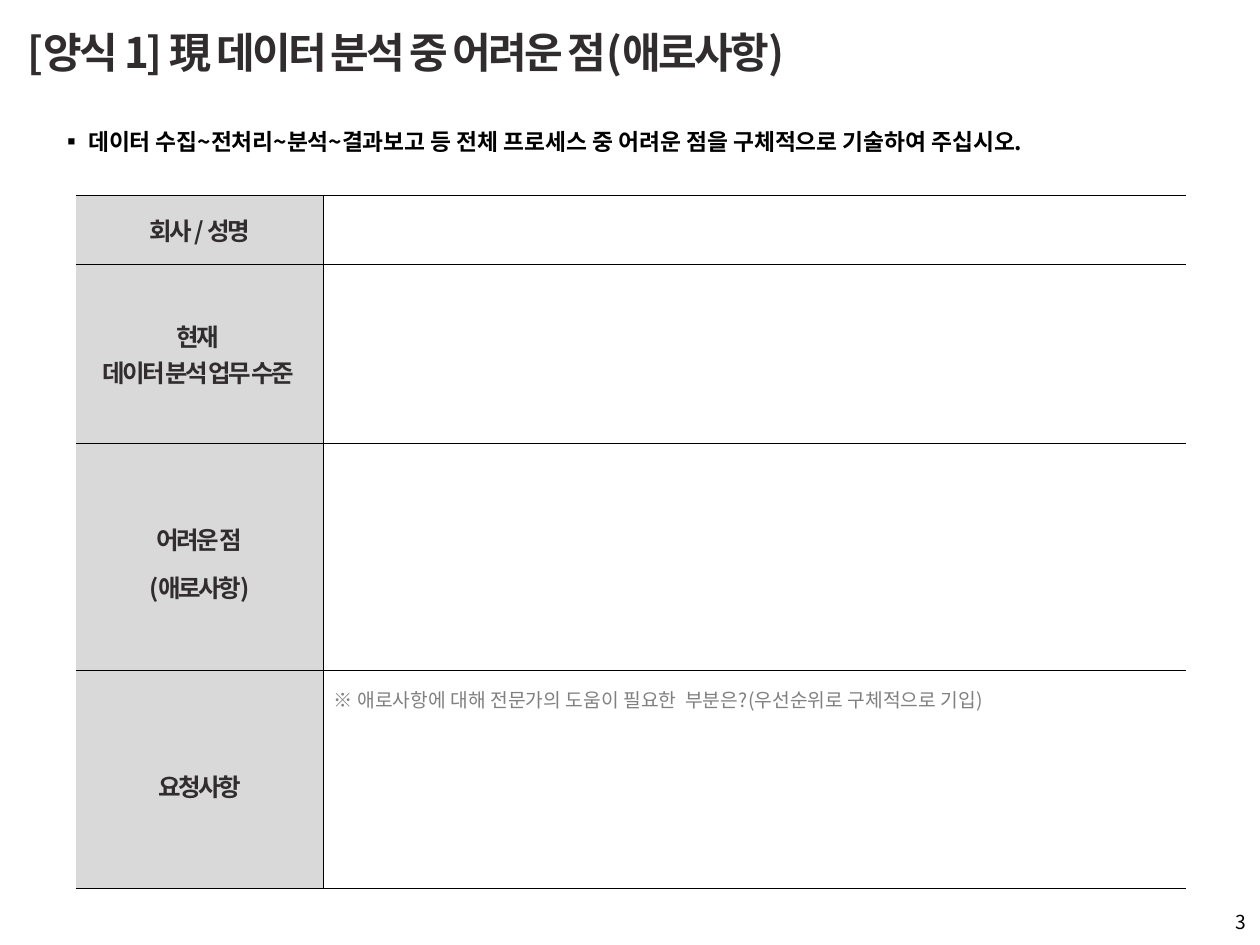
from dataclasses import dataclass

from lxml.etree import SubElement
from pptx import Presentation
from pptx.dml.color import RGBColor
from pptx.enum.text import MSO_ANCHOR as Anchor, PP_ALIGN as Align
from pptx.oxml import parse_xml
from pptx.oxml.ns import nsdecls, qn
from pptx.util import Pt

FONT = "Noto Sans CJK KR"
BLACK = RGBColor(0x00, 0x00, 0x00)
CHARCOAL = RGBColor(0x31, 0x2C, 0x2E)
GRAY = RGBColor(0x80, 0x80, 0x80)
LABEL_FILL = RGBColor(0xD9, 0xD9, 0xD9)
NO_STYLE = "{2D5ABB26-0587-4C30-8999-92F81FD0307C}"


@dataclass(frozen=True)
class TextStyle:
    size: float
    color: RGBColor
    bold: bool = False
    tracking: float = 0
    align: Align = Align.LEFT
    line_spacing: float = 1.0


@dataclass(frozen=True)
class Caption:
    text: str
    box: tuple[float, float, float, float]
    style: TextStyle
    anchor: Anchor = Anchor.MIDDLE
    insets: tuple[float, float, float, float] = (7.2, 3.6, 7.2, 3.6)


@dataclass(frozen=True)
class FormRow:
    label: str
    height: float
    line_spacing: float = 1.0
    hint: str = ""


CAPTIONS = [
    Caption("▪ 데이터 수집~전처리~분석~결과보고 등 전체 프로세스 중 어려운 점을 구체적으로 기술하여 주십시오.",
            (27.4, 69.8, 684, 26), TextStyle(13, BLACK, True, line_spacing=1.2),
            Anchor.TOP, (7.2, 0, 7.2, 0)),
    Caption("[양식 1] 現 데이터 분석 중 어려운 점(애로사항)",
            (8.6, 9.4, 548, 40.3), TextStyle(24, CHARCOAL, True, -1.5)),
    Caption("3", (683.3, 512.6, 36, 28.8), TextStyle(11, BLACK, align=Align.RIGHT)),
]
FORM_ROWS = [
    FormRow("회사 / 성명", 39.6),
    FormRow("현재 \n데이터 분석 업무 수준 ", 102.2),
    FormRow("어려운 점\v(애로사항)", 129.6, 1.35),
    FormRow("요청사항", 124.6, 1.35,
            "※ 애로사항에 대해 전문가의 도움이 필요한  부분은?(우선순위로 구체적으로 기입)"),
]
FORM_LEFT, FORM_TOP = 43.2, 111.6
COLUMN_WIDTHS = (141.8, 492.5)


def write(frame, text: str, style: TextStyle) -> None:
    frame.text = text
    font_values = {"size": Pt(style.size), "bold": style.bold, "name": FONT}
    for paragraph in frame.paragraphs:
        paragraph.alignment = style.align
        paragraph.line_spacing = style.line_spacing
        for run in paragraph.runs:
            for key, value in font_values.items():
                setattr(run.font, key, value)
            run.font.color.rgb = style.color
            properties = run.font._element
            properties.set("spc", str(round(style.tracking * 100)))
            SubElement(properties, qn("a:ea")).set("typeface", FONT)


def set_insets(holder, insets: tuple[float, float, float, float]) -> None:
    for side, inset in zip(("left", "top", "right", "bottom"), insets):
        setattr(holder, f"margin_{side}", Pt(inset))


def add_caption(slide, caption: Caption) -> None:
    frame = slide.shapes.add_textbox(*map(Pt, caption.box)).text_frame
    frame.word_wrap = True
    frame.vertical_anchor = caption.anchor
    set_insets(frame, caption.insets)
    write(frame, caption.text, caption.style)


def set_borders(cell, sides: str) -> None:
    """Rule the given sides, in L, R, T, B order, and leave the others open."""
    properties = cell._tc.get_or_add_tcPr()
    for index, side in enumerate("LRTB"):
        paint = (f'<a:solidFill><a:srgbClr val="{BLACK}"/></a:solidFill>'
                 if side in sides else "<a:noFill/>")
        properties.insert(index, parse_xml(
            f'<a:ln{side} {nsdecls("a")} w="{Pt(0.75)}">{paint}</a:ln{side}>'))


def add_form(slide, rows: list[FormRow]) -> None:
    form = slide.shapes.add_table(
        len(rows), len(COLUMN_WIDTHS), Pt(FORM_LEFT), Pt(FORM_TOP),
        Pt(sum(COLUMN_WIDTHS)), Pt(sum(row.height for row in rows))).table
    form.first_row = form.horz_banding = False
    form._tbl.tblPr.find(qn("a:tableStyleId")).text = NO_STYLE
    for column, width in zip(form.columns, COLUMN_WIDTHS):
        column.width = Pt(width)
    for index, row in enumerate(rows):
        form.rows[index].height = Pt(row.height)
        label, answer = form.cell(index, 0), form.cell(index, 1)
        label.fill.solid()
        label.fill.fore_color.rgb = LABEL_FILL
        label.vertical_anchor = Anchor.MIDDLE
        set_insets(label, (5, 1.4, 5, 1.4))
        write(label.text_frame, row.label,
              TextStyle(14, CHARCOAL, True, -1.5, Align.CENTER, row.line_spacing))
        set_borders(label, "RTB")
        answer.fill.background()
        set_insets(answer, (5.8, 2.9, 5.8, 2.9))
        if row.hint:
            write(answer.text_frame, row.hint, TextStyle(11, GRAY, line_spacing=1.35))
        set_borders(answer, "LTB")


def main() -> None:
    presentation = Presentation()
    presentation.slide_width, presentation.slide_height = Pt(720), Pt(540)
    slide = presentation.slides.add_slide(presentation.slide_layouts[6])
    add_form(slide, FORM_ROWS)
    for caption in CAPTIONS:
        add_caption(slide, caption)
    presentation.save("out.pptx")


if __name__ == "__main__":
    main()
